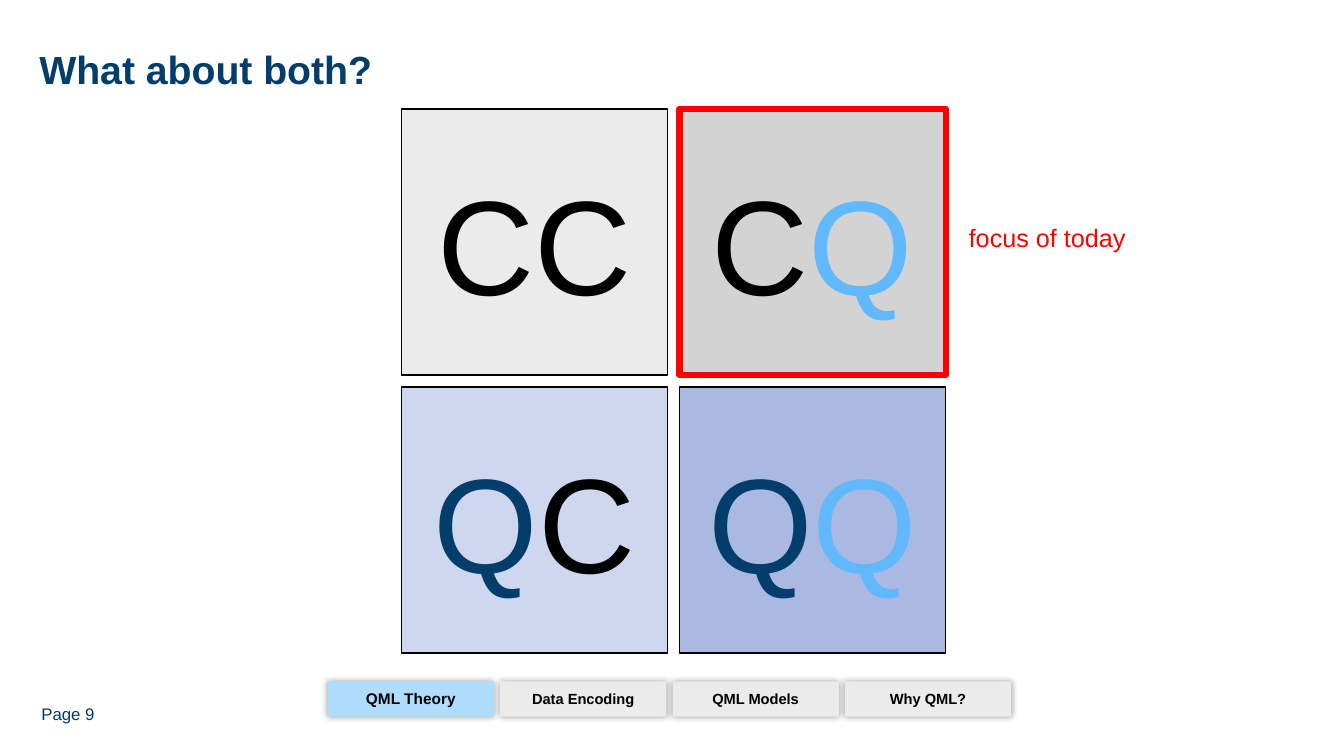
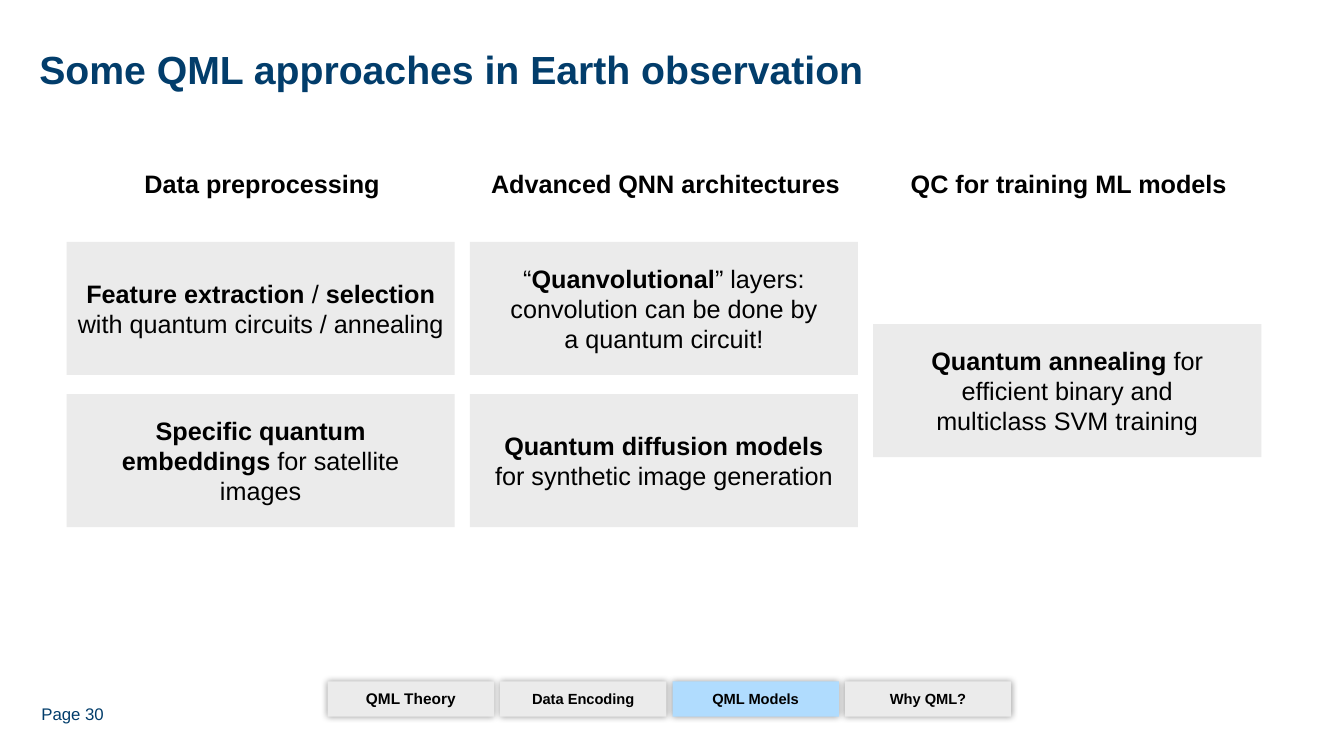
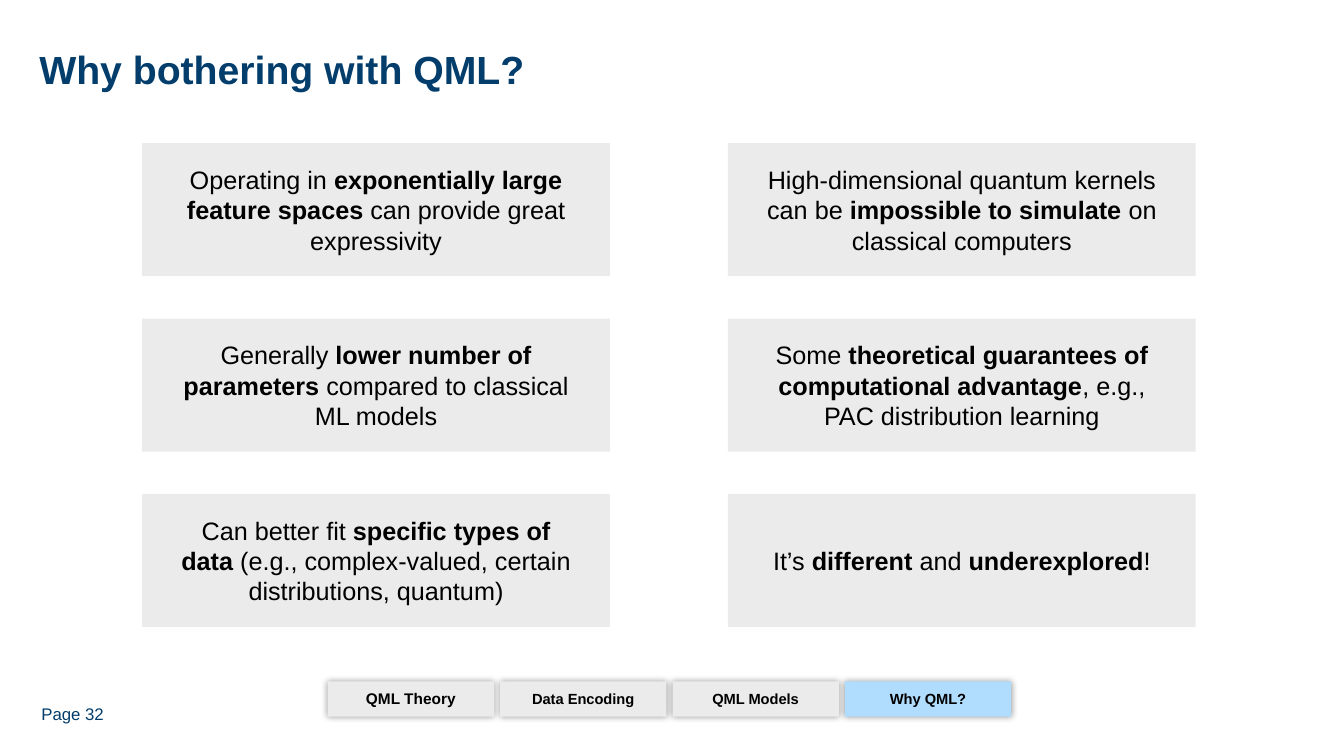
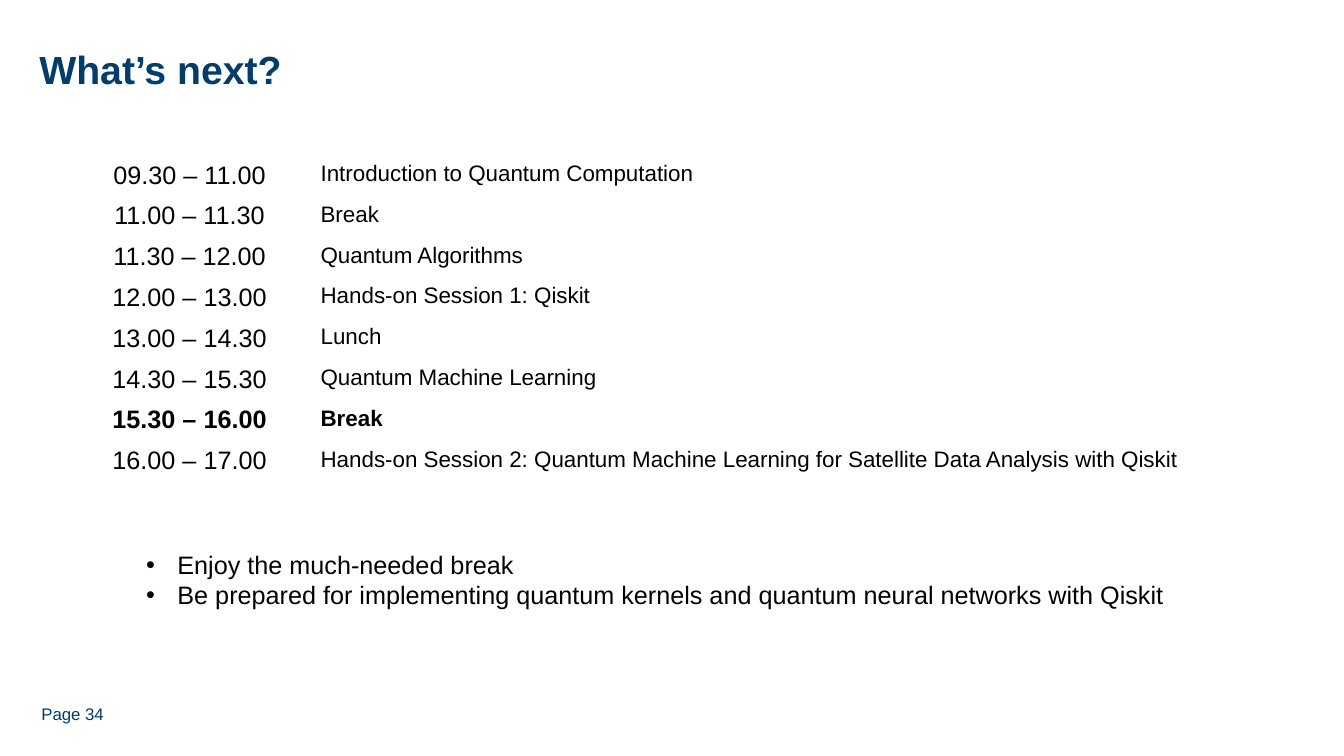
"""Build four slides on quantum machine learning with a shared title, page number and section bar."""
from lxml.etree import SubElement
from pptx import Presentation
from pptx.dml.color import RGBColor
from pptx.enum.shapes import MSO_SHAPE as Shape
from pptx.enum.text import MSO_ANCHOR as Anchor, MSO_AUTO_SIZE as AutoSize, PP_ALIGN as Align
from pptx.oxml.ns import qn
from pptx.util import Emu, Inches, Pt

NAVY = RGBColor(0x02, 0x3D, 0x6B)
SKY = RGBColor(0x62, 0xB8, 0xFC)
ACTIVE = RGBColor(0xB0, 0xDC, 0xFE)
BLACK = RGBColor(0, 0, 0)
RED = RGBColor(0xFF, 0, 0)
GREY = RGBColor(0xEB, 0xEB, 0xEB)
MID_GREY = RGBColor(0xD3, 0xD3, 0xD3)
PALE_BLUE = RGBColor(0xCE, 0xD7, 0xEE)
MID_BLUE = RGBColor(0xA9, 0xB9, 0xE1)

FONT = "Arial"
TITLE_ONLY, TITLE_AND_BODY = 5, 1
SECTIONS = [("QML Theory", 11), ("Data Encoding", 10.5), ("QML Models", 10.5), ("Why QML?", 10.5)]

QUADRANTS = [
    [(GREY, [("C", BLACK), ("C", BLACK)]), (MID_GREY, [("C", BLACK), ("Q", SKY)])],
    [(PALE_BLUE, [("Q", NAVY), ("C", BLACK)]), (MID_BLUE, [("Q", NAVY), ("Q", SKY)])],
]
FOCUS = (0, 1)

WIDE, MEDIUM, NARROW = 0.1, 0.18, 0.34
APPROACHES = [
    ("Data preprocessing", [
        (0, WIDE, "**Feature extraction** / **selection **with quantum circuits / annealing"),
        (1, MEDIUM, "**Specific quantum embeddings **for satellite images"),
    ]),
    ("Advanced QNN architectures", [
        (0, NARROW, "“**Quanvolutional**” layers: convolution can be done by a quantum circuit!"),
        (1, MEDIUM, "**Quantum diffusion models **for synthetic image generation"),
    ]),
    ("QC for training ML models", [
        (0.54, NARROW, "**Quantum annealing **for efficient binary and multiclass SVM training"),
    ]),
]

REASONS = [
    ["Operating in **exponentially large feature spaces** can provide great expressivity",
     "High-dimensional quantum kernels can be **impossible to simulate **on classical computers"],
    ["Generally** lower number of parameters **compared to classical ML models",
     "Some **theoretical guarantees of computational advantage**, e.g., PAC distribution learning"],
    ["Can better fit **specific types of data **(e.g., complex-valued, certain distributions, quantum)",
     "It’s **different **and **underexplored**!"],
]

AGENDA = [
    ("09.30 – 11.00", "Introduction to Quantum Computation"),
    ("11.00 – 11.30", "Break"),
    ("11.30 – 12.00", "Quantum Algorithms"),
    ("12.00 – 13.00", "Hands-on Session 1: Qiskit"),
    ("13.00 – 14.30", "Lunch"),
    ("14.30 – 15.30", "Quantum Machine Learning"),
    ("15.30 – 16.00", "Break"),
    ("16.00 – 17.00", "Hands-on Session 2: Quantum Machine Learning for Satellite Data Analysis with Qiskit"),
]
CURRENT = 6
REMINDERS = [
    "Enjoy the much-needed break",
    "Be prepared for implementing quantum kernels and quantum neural networks with Qiskit",
]


def add_run(paragraph, text, size, color=BLACK, bold=False):
    run = paragraph.add_run()
    run.text = text
    run.font.name = FONT
    run.font.size = Pt(size)
    run.font.bold = bold
    run.font.color.rgb = color


def add_marked(paragraph, text, size=18):
    for index, part in enumerate(text.split("**")):
        if part:
            add_run(paragraph, part, size, bold=index % 2 == 1)


def set_frame(frame, side=0.0, top=0.0, anchor=Anchor.MIDDLE):
    frame.word_wrap = True
    frame.auto_size = AutoSize.NONE
    frame.margin_left = frame.margin_right = Inches(side)
    frame.margin_top = frame.margin_bottom = Inches(top)
    frame.vertical_anchor = anchor


def place(shape, left, top, width, height):
    shape.left, shape.top, shape.width, shape.height = map(Inches, (left, top, width, height))


def add_label(slide, box, text, size=18, color=BLACK, bold=False, align=Align.LEFT, inset=(0.1, 0.05)):
    label = slide.shapes.add_textbox(*map(Inches, box))
    set_frame(label.text_frame, *inset, Anchor.TOP)
    paragraph = label.text_frame.paragraphs[0]
    paragraph.alignment = align
    add_run(paragraph, text, size, color, bold)


def add_card(slide, box, fill=GREY, side=0.0, line=None, weight=1):
    card = slide.shapes.add_shape(Shape.RECTANGLE, *map(Inches, box))
    card.shadow.inherit = False
    card.fill.solid()
    card.fill.fore_color.rgb = fill
    if line is None:
        card.line.fill.background()
    else:
        card.line.color.rgb = line
        card.line.width = Pt(weight)
    set_frame(card.text_frame, side)
    paragraph = card.text_frame.paragraphs[0]
    paragraph.alignment = Align.CENTER
    return card, paragraph


def add_glow_shadow(shape):
    effects = shape.element.spPr.find(qn("a:effectLst"))
    shadow = SubElement(effects, qn("a:outerShdw"), blurRad=str(Pt(5)), dist="0", dir="0", algn="ctr", rotWithShape="0")
    tint = SubElement(shadow, qn("a:srgbClr"), val=str(BLACK))
    SubElement(tint, qn("a:alpha"), val="40000")


def add_section_bar(slide, active):
    for index, (section, size) in reversed(list(enumerate(SECTIONS))):
        fill = ACTIVE if index == active else GREY
        tab, paragraph = add_card(slide, (3.25 + 1.71 * index, 6.76, 1.65, 0.35), fill)
        add_glow_shadow(tab)
        paragraph.line_spacing = 0.95
        add_run(paragraph, section, size, bold=True)


def new_slide(deck, title, page, active=None, layout=TITLE_ONLY):
    slide = deck.slides.add_slide(deck.slide_layouts[layout])
    heading = slide.shapes.title
    place(heading, 0.39, 0.33, 12.52, 0.72)
    set_frame(heading.text_frame)
    paragraph = heading.text_frame.paragraphs[0]
    paragraph.alignment = Align.LEFT
    paragraph.line_spacing = Pt(32)
    add_run(paragraph, title, 28, NAVY, True)
    add_label(slide, (0.41, 6.98, 0.79, 0.24), f"Page {page}", 12, NAVY, inset=(0, 0))
    if active is not None:
        add_section_bar(slide, active)
    return slide


def build_quadrants(deck):
    slide = new_slide(deck, "What about both?", 9, active=0)
    side, pitch = 2.64, 2.76
    for row, quadrants in enumerate(QUADRANTS):
        for column, (fill, letters) in enumerate(quadrants):
            line, weight = (RED, 4.5) if (row, column) == FOCUS else (BLACK, 1)
            box = (3.98 + pitch * column, 1.08 + pitch * row, side, side)
            _, paragraph = add_card(slide, box, fill, line=line, weight=weight)
            for letter, color in letters:
                add_run(paragraph, letter, 96, color)
    add_label(slide, (9.51, 2.16, 1.78, 0.68), "focus of today", color=RED)


def build_approaches(deck):
    slide = new_slide(deck, "Some QML approaches in Earth observation", 30, active=2)
    for column, (heading, cards) in enumerate(APPROACHES):
        left = 0.66 + 4 * column
        add_label(slide, (left - 0.03, 1.62, 3.94, 0.39), heading, bold=True, align=Align.CENTER)
        for row, side, text in cards:
            _, paragraph = add_card(slide, (left, 2.4 + 1.51 * row, 3.85, 1.32), side=side)
            add_marked(paragraph, text)


def build_reasons(deck):
    slide = new_slide(deck, "Why bothering with QML?", 32, active=3)
    for row, reasons in enumerate(REASONS):
        for column, text in enumerate(reasons):
            _, paragraph = add_card(slide, (1.41 + 5.81 * column, 1.42 + 1.74 * row, 4.64, 1.32), side=0.38)
            add_marked(paragraph, text)


def build_agenda(deck):
    slide = new_slide(deck, "What’s next?", 34, layout=TITLE_AND_BODY)
    widths = (2.4, 9.22)
    box = (0.68, 1.55, sum(widths), 0.405 * len(AGENDA))
    agenda = slide.shapes.add_table(len(AGENDA), 2, *map(Inches, box)).table
    agenda.first_row = agenda.horz_banding = False
    for column, width in zip(agenda.columns, widths):
        column.width = Inches(width)
    styles = ((18, Align.CENTER), (16, Align.LEFT))
    for row, entry in enumerate(AGENDA):
        for column, (text, (size, align)) in enumerate(zip(entry, styles)):
            cell = agenda.cell(row, column)
            cell.fill.background()
            paragraph = cell.text_frame.paragraphs[0]
            paragraph.alignment = align
            add_run(paragraph, text, size, bold=row == CURRENT)

    body = slide.placeholders[1]
    place(body, 1.35, 5.4, 10.63, 0.68)
    set_frame(body.text_frame, 0.1, 0.05, Anchor.TOP)
    for index, reminder in enumerate(REMINDERS):
        paragraph = body.text_frame.add_paragraph() if index else body.text_frame.paragraphs[0]
        properties = paragraph._p.get_or_add_pPr()
        indent = Inches(0.31)
        properties.set("marL", str(indent))
        properties.set("indent", str(Emu(-indent)))
        SubElement(properties, qn("a:buFont"), typeface=FONT)
        SubElement(properties, qn("a:buChar"), char="•")
        paragraph.space_before = Pt(0)
        add_run(paragraph, reminder, 18)


def main():
    deck = Presentation()
    deck.slide_width, deck.slide_height = Inches(13.33), Inches(7.5)
    for build in (build_quadrants, build_approaches, build_reasons, build_agenda):
        build(deck)
    deck.save("out.pptx")


if __name__ == "__main__":
    main()
